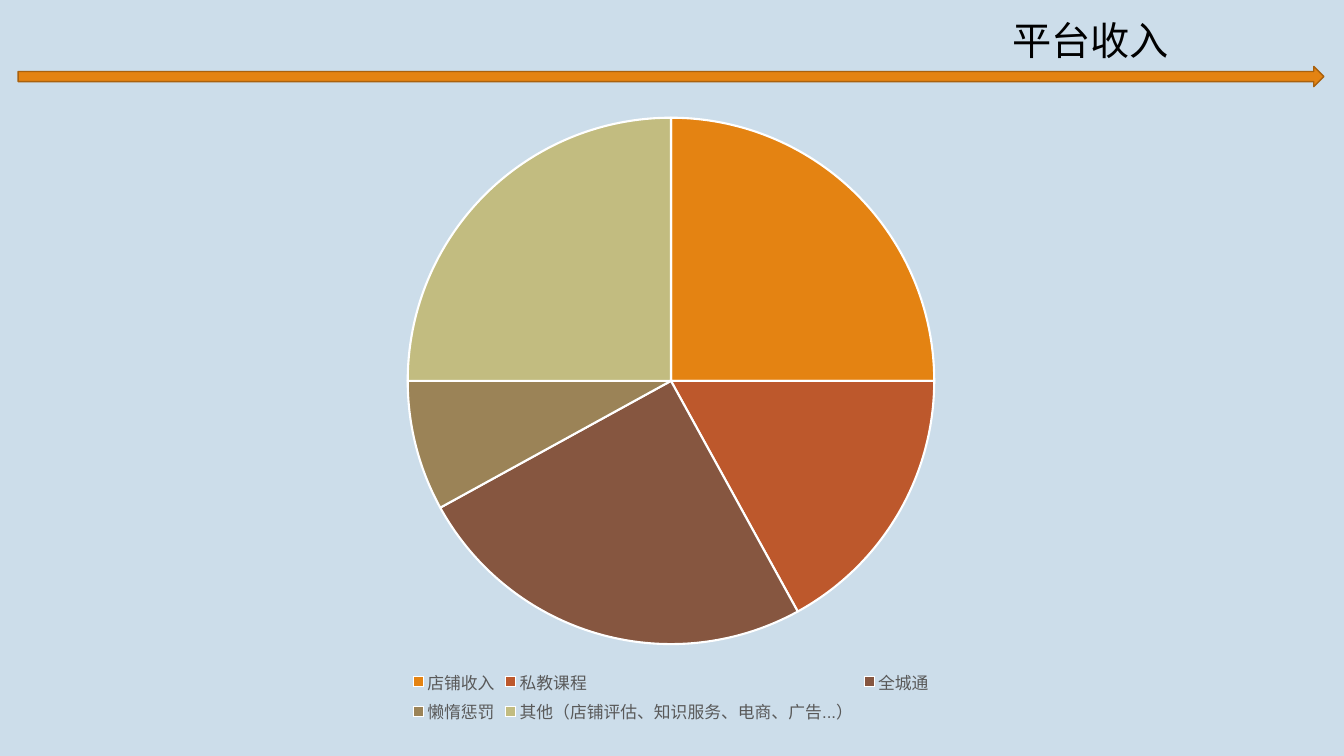
from pptx import Presentation
from pptx.chart.data import CategoryChartData
from pptx.dml.color import RGBColor
from pptx.enum import chart as ch, shapes, text
from pptx.util import Inches, Pt

SKY = RGBColor(0xCC, 0xDD, 0xEA)
BLACK = RGBColor(0x00, 0x00, 0x00)
WHITE = RGBColor(0xFF, 0xFF, 0xFF)
GREY = RGBColor(0x59, 0x59, 0x59)
ORANGE = RGBColor(0xE4, 0x83, 0x12)
DARK_ORANGE = RGBColor(0xA9, 0x61, 0x0D)
RUST = RGBColor(0xBD, 0x58, 0x2C)
BROWN = RGBColor(0x86, 0x56, 0x40)
KHAKI = RGBColor(0x9B, 0x83, 0x57)
SAND = RGBColor(0xC2, 0xBC, 0x80)

LEFT, WIDTH = 0.18, 12.95
INCOME = [
    ("店铺收入", 25, ORANGE),
    ("私教课程", 17, RUST),
    ("全城通", 25, BROWN),
    ("懒惰惩罚", 8, KHAKI),
    ("其他（店铺评估、知识服务、电商、广告...）", 25, SAND),
]


class SlideBuilder:
    """Holds the shared style and the slide being built."""

    font_name = "Arial"

    def __init__(self, slide):
        """Take the slide and paint its background."""
        self.slide = slide
        slide.background.fill.solid()
        slide.background.fill.fore_color.rgb = SKY

    def style(self, font, size, color):
        """Apply the shared typeface with a size and colour."""
        font.name = self.font_name
        font.size = Pt(size)
        font.color.rgb = color

    def title(self, wording, box):
        """Place and format the title placeholder."""
        heading = self.slide.shapes.title
        heading.left, heading.top, heading.width, heading.height = map(Inches, box)
        frame = heading.text_frame
        frame.text = wording
        frame.word_wrap = False
        frame.auto_size = text.MSO_AUTO_SIZE.SHAPE_TO_FIT_TEXT
        frame.vertical_anchor = text.MSO_ANCHOR.TOP
        frame.paragraphs[0].alignment = text.PP_ALIGN.LEFT
        self.style(frame.paragraphs[0].font, 28, BLACK)

    def arrow(self, box):
        """Draw the arrow bar under the title."""
        bar = self.slide.shapes.add_shape(
            shapes.MSO_SHAPE.RIGHT_ARROW, *map(Inches, box))
        bar.shadow.inherit = False
        bar.fill.solid()
        bar.fill.fore_color.rgb = ORANGE
        bar.line.color.rgb = DARK_ORANGE
        bar.line.width = Pt(1)

    def pie(self, slices, box):
        """Add a pie chart with one colour per slice and a legend below."""
        names, values, colors = zip(*slices)
        data = CategoryChartData()
        data.categories = names
        data.add_series("Series 1", values)
        pie = self.slide.shapes.add_chart(
            ch.XL_CHART_TYPE.PIE, *map(Inches, box), data).chart
        self.style(pie.font, 10, BLACK)
        pie.has_title = False
        pie.has_legend = True
        pie.legend.position = ch.XL_LEGEND_POSITION.BOTTOM
        pie.legend.include_in_layout = False
        self.style(pie.legend.font, 12, GREY)
        plot = pie.plots[0]
        plot.vary_by_categories = True
        for index, color in enumerate(colors):
            wedge = plot.series[0].points[index].format
            wedge.fill.solid()
            wedge.fill.fore_color.rgb = color
            wedge.line.color.rgb = WHITE
            wedge.line.width = Pt(1.5)


deck = Presentation()
deck.slide_width, deck.slide_height = Inches(13.33), Inches(7.5)
title_only = deck.slide_layouts[5]
income = SlideBuilder(deck.slides.add_slide(title_only))
income.pie(INCOME, (LEFT, 1.03, WIDTH, 6.19))
income.arrow((LEFT, 0.66, WIDTH, 0.2))
income.title("平台收入", (9.94, 0.11, 1.77, 0.57))
deck.save("out.pptx")
